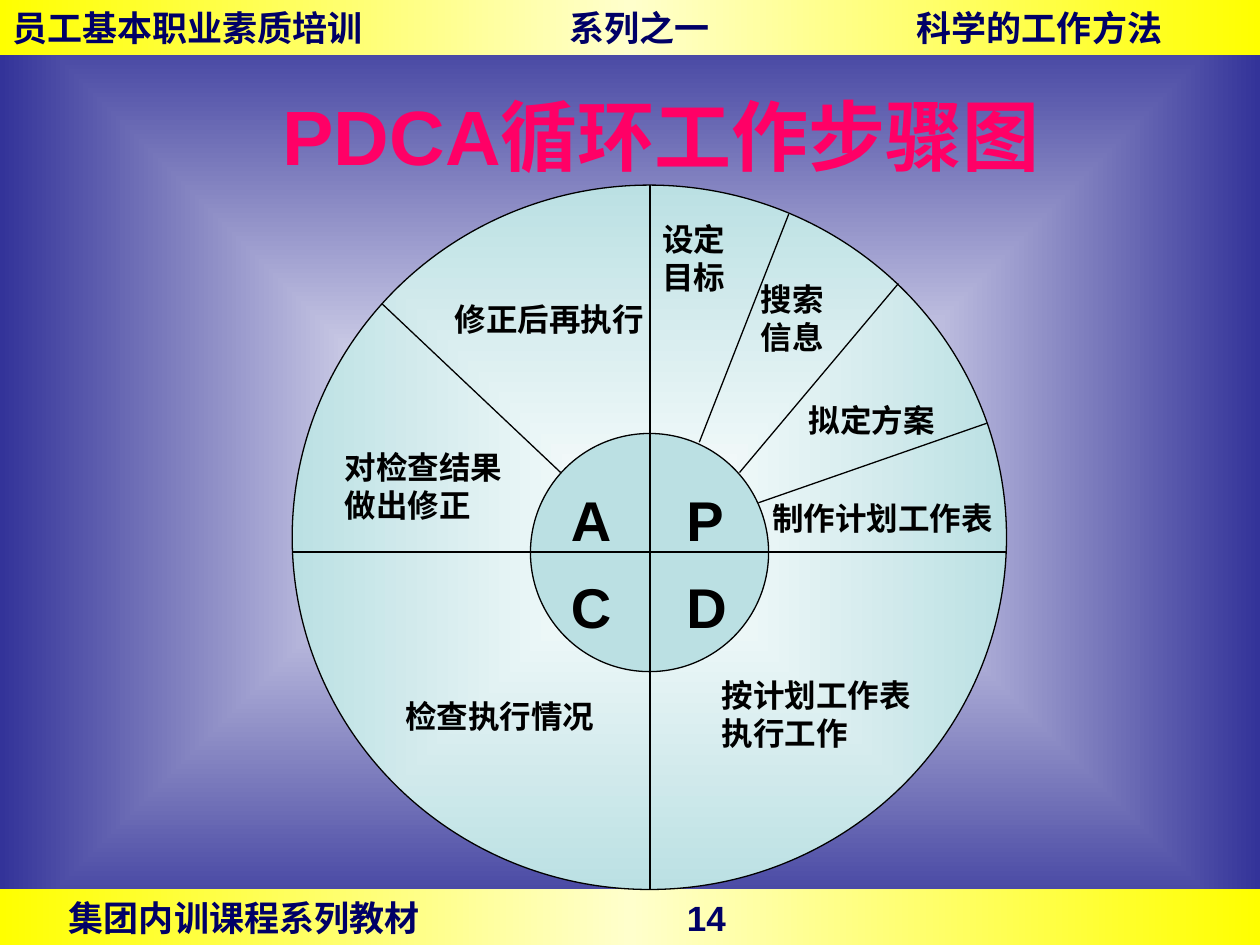
from dataclasses import dataclass
from typing import NamedTuple

from lxml.etree import SubElement
from pptx import Presentation
from pptx.dml.color import RGBColor
from pptx.enum.shapes import MSO_CONNECTOR, MSO_SHAPE
from pptx.enum.text import MSO_ANCHOR, MSO_AUTO_SIZE, PP_ALIGN
from pptx.oxml.ns import qn
from pptx.util import Pt


@dataclass(frozen=True)
class Theme:
    font: str = "Arial"
    black: str = "000000"
    navy: str = "000066"
    pink: str = "FF0066"
    teal: str = "BBE0E3"
    blue: str = "333399"
    white: str = "FFFFFF"
    yellow: str = "FFFF00"
    cream: str = "FFFFCC"
    title_size: float = 44
    letter_size: float = 32
    band_size: float = 20
    label_size: float = 18
    line_width: float = 0.75


class Box(NamedTuple):
    left: float
    top: float
    width: float
    height: float

    def lengths(self) -> list:
        return [Pt(value) for value in self]


class Band(NamedTuple):
    top: float
    inset: float
    tabs: tuple
    text: str


class Label(NamedTuple):
    box: Box
    lines: tuple


class Spoke(NamedTuple):
    start_x: float
    start_y: float
    end_x: float
    end_y: float


THEME = Theme()
BAND_HEIGHT = 31.7
WHEEL = Box(167, 105.8, 408.2, 402.5)
HUB = Box(303.1, 247.7, 136.1, 136.1)
CENTER_X, CENTER_Y = 371.5, 315.4

BANDS = (
    Band(508.3, 39.4, (353.2,), "集团内训课程系列教材\t14"),
    Band(0, 7.2, (318.3, 516.8), "员工基本职业素质培训\t系列之一\t科学的工作方法"),
)
LABELS = (
    Label(Box(252.7, 167.8, 122.4, 28.8), ("修正后再执行",)),
    Label(Box(190, 252.7, 124.6, 50.4), ("对检查结果", "做出修正")),
    Label(Box(371.5, 122.4, 52.6, 50.4), ("设定", "目标")),
    Label(Box(427.7, 156.5, 62.6, 50.4), ("搜索", "信息")),
    Label(Box(455, 225.4, 92.2, 28.8), ("拟定方案",)),
    Label(Box(434.2, 281.5, 140.4, 28.8), ("制作计划工作表",)),
    Label(Box(224.6, 394.6, 122.4, 28.8), ("检查执行情况",)),
    Label(Box(405.4, 383, 130.3, 50.4), ("按计划工作表", "执行工作")),
)
SPOKES = (
    # Axes across the whole wheel
    Spoke(CENTER_X, WHEEL.top, CENTER_X, WHEEL.top + WHEEL.height),
    Spoke(WHEEL.left, CENTER_Y, WHEEL.left + WHEEL.width, CENTER_Y),
    # Dividers from rim to hub
    Spoke(218.2, 173.5, 320.4, 270),
    Spoke(450.7, 122.4, 399.6, 252.7),
    Spoke(513.4, 162, 422.6, 270),
    Spoke(563.8, 241.9, 433.4, 287.3),
)


def fill_solid(shape, color: str) -> None:
    shape.fill.solid()
    shape.fill.fore_color.rgb = RGBColor.from_string(color)


def fill_gradient(fill, properties, stops: tuple, rectangular: bool) -> None:
    """Give a fill evenly spaced stops, either linear or from the centre out."""
    fill.gradient()
    gradient = properties.find(qn("a:gradFill"))
    for child in list(gradient):
        gradient.remove(child)
    stop_list = SubElement(gradient, qn("a:gsLst"))
    for index, color in enumerate(stops):
        position = str(100000 * index // (len(stops) - 1))
        stop = SubElement(stop_list, qn("a:gs"), pos=position)
        SubElement(stop, qn("a:srgbClr"), val=color)
    if rectangular:
        shade = SubElement(gradient, qn("a:path"))
        shade.set("path", "rect")
        SubElement(shade, qn("a:fillToRect"), {side: "50000" for side in "ltrb"})
    else:
        SubElement(gradient, qn("a:lin"), ang="0", scaled="1")


def write_text(shape, lines: tuple, size: float, color: str, tabs: tuple = (),
               align=PP_ALIGN.LEFT, spacing: float = 1.0, **frame_format) -> None:
    frame = shape.text_frame
    frame_values = {
        "word_wrap": True, "auto_size": MSO_AUTO_SIZE.NONE,
        "vertical_anchor": MSO_ANCHOR.MIDDLE,
        "margin_left": Pt(7.2), "margin_right": Pt(0),
        "margin_top": Pt(3.6), "margin_bottom": Pt(3.6),
    }
    for name, value in (frame_values | frame_format).items():
        setattr(frame, name, value)
    for index, line in enumerate(lines):
        paragraph = frame.paragraphs[0] if index == 0 else frame.add_paragraph()
        paragraph.alignment = align
        paragraph.line_spacing = spacing
        if tabs:
            tab_list = SubElement(paragraph._p.get_or_add_pPr(), qn("a:tabLst"))
            for tab in tabs:
                SubElement(tab_list, qn("a:tab"), pos=str(int(Pt(tab))), algn="l")
        run = paragraph.add_run()
        run.text = line
        for name, value in {"name": THEME.font, "size": Pt(size), "bold": True}.items():
            setattr(run.font, name, value)
        run.font.color.rgb = RGBColor.from_string(color)


def style_line(line) -> None:
    line.width = Pt(THEME.line_width)
    line.color.rgb = RGBColor.from_string(THEME.black)


def add_shape(slide, kind, box: Box):
    shape = slide.shapes.add_shape(kind, *box.lengths())
    shape.shadow.inherit = False
    return shape


def add_band(slide, band: Band) -> None:
    shape = add_shape(slide, MSO_SHAPE.RECTANGLE, Box(0, band.top, 720, BAND_HEIGHT))
    fill_gradient(shape.fill, shape._element.spPr,
                  (THEME.yellow, THEME.cream, THEME.yellow), rectangular=False)
    shape.line.fill.background()
    write_text(shape, (band.text,), THEME.band_size, THEME.navy, band.tabs,
               margin_left=Pt(band.inset))


def add_spoke(slide, spoke: Spoke) -> None:
    connector = slide.shapes.add_connector(
        MSO_CONNECTOR.STRAIGHT, *[Pt(value) for value in spoke])
    style_line(connector.line)
    SubElement(connector._element.spPr, qn("a:effectLst"))


def add_label(slide, label: Label) -> None:
    shape = slide.shapes.add_textbox(*label.box.lengths())
    write_text(shape, label.lines, THEME.label_size, THEME.black,
               vertical_anchor=MSO_ANCHOR.TOP)


def main() -> None:
    presentation = Presentation()
    presentation.slide_width, presentation.slide_height = Pt(720), Pt(540)
    slide = presentation.slides.add_slide(presentation.slide_layouts[5])

    # Background and bands
    fill = slide.background.fill
    fill_gradient(fill, slide._element.cSld.bg.bgPr,
                  (THEME.white, THEME.blue), rectangular=True)
    for band in BANDS:
        add_band(slide, band)

    # Title
    title = slide.shapes.title
    title.left, title.top, title.width, title.height = Box(54, 43.2, 648, 67.7).lengths()
    write_text(title, ("PDCA循环工作步骤图",), THEME.title_size, THEME.pink,
               align=PP_ALIGN.CENTER, margin_right=Pt(7.2))

    # Wheel and hub
    wheel = add_shape(slide, MSO_SHAPE.OVAL, WHEEL)
    fill_gradient(wheel.fill, wheel._element.spPr,
                  (THEME.white, THEME.teal), rectangular=True)
    hub = add_shape(slide, MSO_SHAPE.OVAL, HUB)
    fill_solid(hub, THEME.teal)
    for circle in (wheel, hub):
        style_line(circle.line)
    write_text(hub, ("A\tP", "C\tD"), THEME.letter_size, THEME.black, (66,),
               spacing=1.3, margin_left=Pt(3.2))

    # Dividers and step names
    for spoke in SPOKES:
        add_spoke(slide, spoke)
    for label in LABELS:
        add_label(slide, label)

    presentation.save("out.pptx")


if __name__ == "__main__":
    main()
